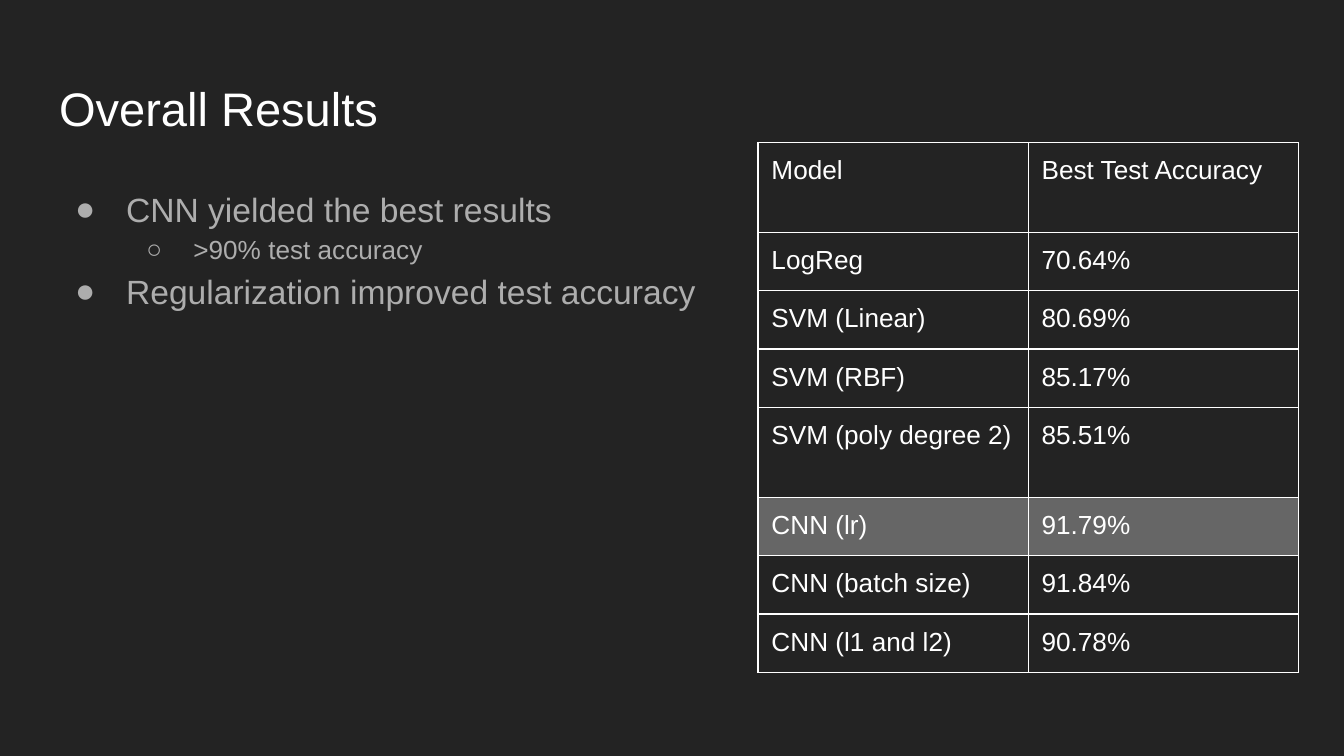
from lxml import etree
from pptx import Presentation
from pptx import util as u
from pptx.dml.color import RGBColor
from pptx.enum import text
from pptx.oxml.ns import qn

COLORS = {"background": "232323", "white": "FFFFFF", "body": "ADADAD", "highlight": "666666"}
FONT = "Arial"
MARGIN = u.Inches(0.1)

# level, text
BULLETS = [
    (0, "CNN yielded the best results"),
    (1, ">90% test accuracy"),
    (0, "Regularization improved test accuracy"),
]
# character, size, left margin, hanging indent
BULLET_LEVELS = [("●", 18, 0.5, 0.38), ("○", 14, 1, 0.35)]

RESULTS = [
    ("Model", "Best Test Accuracy"),
    ("LogReg", "70.64%"),
    ("SVM (Linear)", "80.69%"),
    ("SVM (RBF)", "85.17%"),
    ("SVM (poly degree 2)", "85.51%"),
    ("CNN (lr)", "91.79%"),
    ("CNN (batch size)", "91.84%"),
    ("CNN (l1 and l2)", "90.78%"),
]
TALL_ROWS = (0, 4)
HIGHLIGHTED_ROW = 5


def rgb(name):
    return RGBColor.from_string(COLORS[name])


def set_font(paragraph, size, color):
    paragraph.font.name = FONT
    paragraph.font.size = u.Pt(size)
    paragraph.font.color.rgb = rgb(color)


def set_margins(target):
    """Apply the common inner margin to a text frame or a table cell."""
    target.margin_left = target.margin_right = MARGIN
    target.margin_top = target.margin_bottom = MARGIN


def add_color(parent, name):
    etree.SubElement(parent, qn("a:srgbClr"), val=COLORS[name])


def set_title(slide, title):
    shape = slide.shapes.title
    shape.left, shape.top = u.Inches(0.34), u.Inches(0.49)
    shape.width, shape.height = u.Inches(9.32), u.Inches(0.63)
    frame = shape.text_frame
    frame.text = title
    frame.vertical_anchor = text.MSO_ANCHOR.TOP
    frame.auto_size = text.MSO_AUTO_SIZE.NONE
    set_margins(frame)
    frame.paragraphs[0].alignment = text.PP_ALIGN.LEFT
    set_font(frame.paragraphs[0], 25.2, "white")


def format_bullet(paragraph, level):
    character, size, left, hanging = BULLET_LEVELS[level]
    paragraph.level = level
    paragraph.line_spacing = 1.15
    set_font(paragraph, size, "body")
    properties = paragraph._p.get_or_add_pPr()
    properties.set("marL", str(u.Inches(left)))
    properties.set("indent", str(-u.Inches(hanging)))
    bullet = [
        etree.Element(qn("a:buClr")),
        etree.Element(qn("a:buFont"), typeface=FONT),
        etree.Element(qn("a:buChar"), char=character),
    ]
    add_color(bullet[0], "body")
    spacing = properties.find(qn("a:lnSpc"))
    for element in reversed(bullet):
        spacing.addnext(element)


def add_bullets(slide, bullets):
    shape = slide.shapes.add_textbox(
        u.Inches(0.34), u.Inches(1.26), u.Inches(9.32), u.Inches(3.74))
    frame = shape.text_frame
    frame.word_wrap = True
    set_margins(frame)
    for index, (level, words) in enumerate(bullets):
        paragraph = frame.add_paragraph() if index else frame.paragraphs[0]
        paragraph.text = words
        format_bullet(paragraph, level)


def set_borders(cell):
    properties = cell._tc.get_or_add_tcPr()
    for position, side in enumerate(("lnL", "lnR", "lnT", "lnB")):
        line = etree.Element(qn(f"a:{side}"), w=str(u.Pt(0.75)))
        add_color(etree.SubElement(line, qn("a:solidFill")), "white")
        properties.insert(position, line)


def format_cell(cell, words, highlighted):
    cell.text = words
    set_margins(cell)
    set_font(cell.text_frame.paragraphs[0], 14, "white")
    if highlighted:
        cell.fill.solid()
        cell.fill.fore_color.rgb = rgb("highlight")
    else:
        cell.fill.background()
    set_borders(cell)


def add_results_table(slide, results):
    heights = [0.67 if row in TALL_ROWS else 0.43 for row in range(len(results))]
    table = slide.shapes.add_table(
        len(results), 2, u.Inches(5.64), u.Inches(1.06),
        u.Inches(4.02), u.Inches(sum(heights))).table
    table.first_row = table.horz_banding = False
    for column in table.columns:
        column.width = u.Inches(2.01)
    for row, (values, height) in enumerate(zip(results, heights)):
        table.rows[row].height = u.Inches(height)
        for column, words in enumerate(values):
            format_cell(table.cell(row, column), words, row == HIGHLIGHTED_ROW)


def main():
    presentation = Presentation()
    presentation.slide_width = u.Inches(10)
    presentation.slide_height = u.Inches(10 * 9 / 16)
    slide = presentation.slides.add_slide(presentation.slide_layouts[5])
    slide.background.fill.solid()
    slide.background.fill.fore_color.rgb = rgb("background")
    set_title(slide, "Overall Results")
    add_bullets(slide, BULLETS)
    add_results_table(slide, RESULTS)
    presentation.save("out.pptx")


if __name__ == "__main__":
    main()
